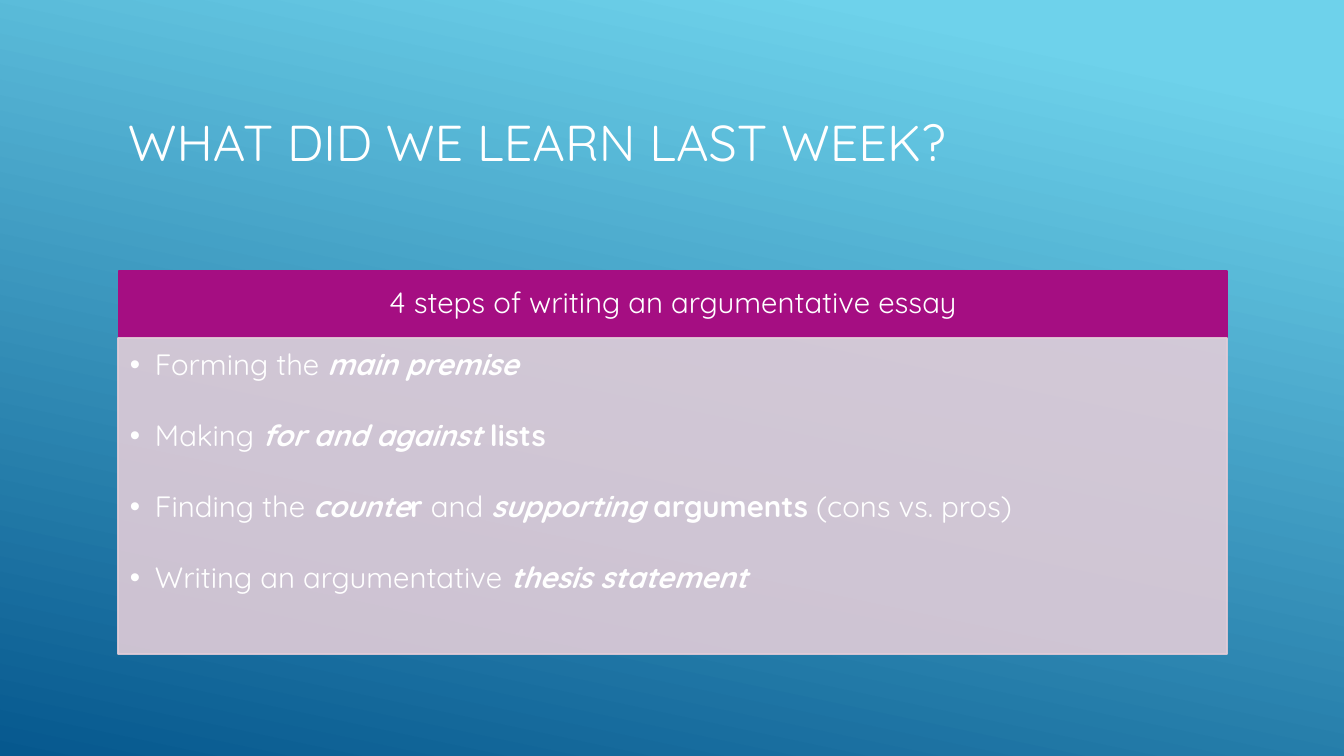
from lxml.etree import SubElement
from pptx import Presentation
from pptx.dml.color import RGBColor
from pptx.enum.shapes import MSO_SHAPE
from pptx.enum.text import MSO_ANCHOR as ANCHOR, PP_ALIGN as ALIGN
from pptx.oxml.ns import qn
from pptx.util import Emu, Pt

SCALE = 12192000 / 1344  # EMU per px
FONT = "Quicksand"
WHITE = RGBColor(0xFF, 0xFF, 0xFF)
SKY = RGBColor(0x6E, 0xD2, 0xEB)
NAVY = RGBColor(0x06, 0x58, 0x8E)
MAGENTA = RGBColor(0xA5, 0x0E, 0x82)
PALE_PINK = RGBColor(0xE1, 0xCC, 0xD8)

PLAIN, BOLD, BOLD_ITALIC = (False, False), (True, False), (True, True)
STEPS = [
    [("Forming the ", PLAIN), ("main premise", BOLD_ITALIC)],
    [("Making ", PLAIN), ("for and against ", BOLD_ITALIC), ("lists", BOLD)],
    [("Finding the ", PLAIN), ("counte", BOLD_ITALIC), ("r", BOLD), (" and ", PLAIN),
     ("supporting ", BOLD_ITALIC), ("arguments", BOLD), (" (cons vs. pros)", PLAIN)],
    [("Writing an argumentative ", PLAIN), ("thesis statement", BOLD_ITALIC)],
]


def px(*lengths):
    return [Emu(round(length * SCALE)) for length in lengths]


def add_run(paragraph, text, size, style=PLAIN):
    run = paragraph.add_run()
    run.text = text
    run.font.name = FONT
    run.font.size = Pt(size)
    run.font.bold, run.font.italic = style
    run.font.color.rgb = WHITE


presentation = Presentation()
presentation.slide_width, presentation.slide_height = px(1344, 756)
slide = presentation.slides.add_slide(presentation.slide_layouts[6])

# Background gradient, running down and slightly left
background = slide.background.fill
background.gradient()
background.gradient_angle = 258
for stop, color, position in zip(background.gradient_stops, (SKY, NAVY), (0.1, 1)):
    stop.color.rgb = color
    stop.position = position

# Title
title = slide.shapes.add_textbox(*px(118, 53, 1109, 177))
title.text_frame.word_wrap = True
title.text_frame.vertical_anchor = ANCHOR.MIDDLE
add_run(title.text_frame.paragraphs[0], "WHAT DID WE LEARN LAST WEEK?", 36)

# Header bar and panel
frames = []
for box, color, insets, anchor in (
    ((119, 271, 1108, 67), MAGENTA, (16, 9, 16, 9), ANCHOR.MIDDLE),
    ((118, 338, 1109, 316), PALE_PINK, (12, 12, 16, 18), ANCHOR.TOP),
):
    shape = slide.shapes.add_shape(MSO_SHAPE.RECTANGLE, *px(*box))
    shape.shadow.inherit = False
    shape.fill.solid()
    shape.fill.fore_color.rgb = color
    shape.line.color.rgb = color
    shape.line.width = Pt(1.25)
    frame = shape.text_frame
    frame.word_wrap = True
    frame.vertical_anchor = anchor
    (frame.margin_left, frame.margin_top,
     frame.margin_right, frame.margin_bottom) = px(*insets)
    frames.append(frame)
header, panel = frames

# The panel, the last shape drawn, is slightly transparent in fill and line
for color_element in shape._element.spPr.iter(qn("a:srgbClr")):
    SubElement(color_element, qn("a:alpha"), val="90000")

# Header text
heading = header.paragraphs[0]
heading.alignment = ALIGN.CENTER
heading.line_spacing = 0.9
add_run(heading, "4 steps of writing an argumentative essay", 21)

# Bulleted steps
indent = px(25)[0]
for index, step in enumerate(STEPS):
    paragraph = panel.add_paragraph() if index else panel.paragraphs[0]
    paragraph.alignment = ALIGN.LEFT
    paragraph.line_spacing = 0.9
    paragraph.space_after = Pt(28)
    properties = paragraph._p.get_or_add_pPr()
    properties.set("marL", str(indent))
    properties.set("indent", str(-indent))
    SubElement(properties, qn("a:buFont"), typeface="Arial")
    SubElement(properties, qn("a:buChar"), char="•")
    for text, style in step:
        add_run(paragraph, text, 21, style)

presentation.save("out.pptx")
